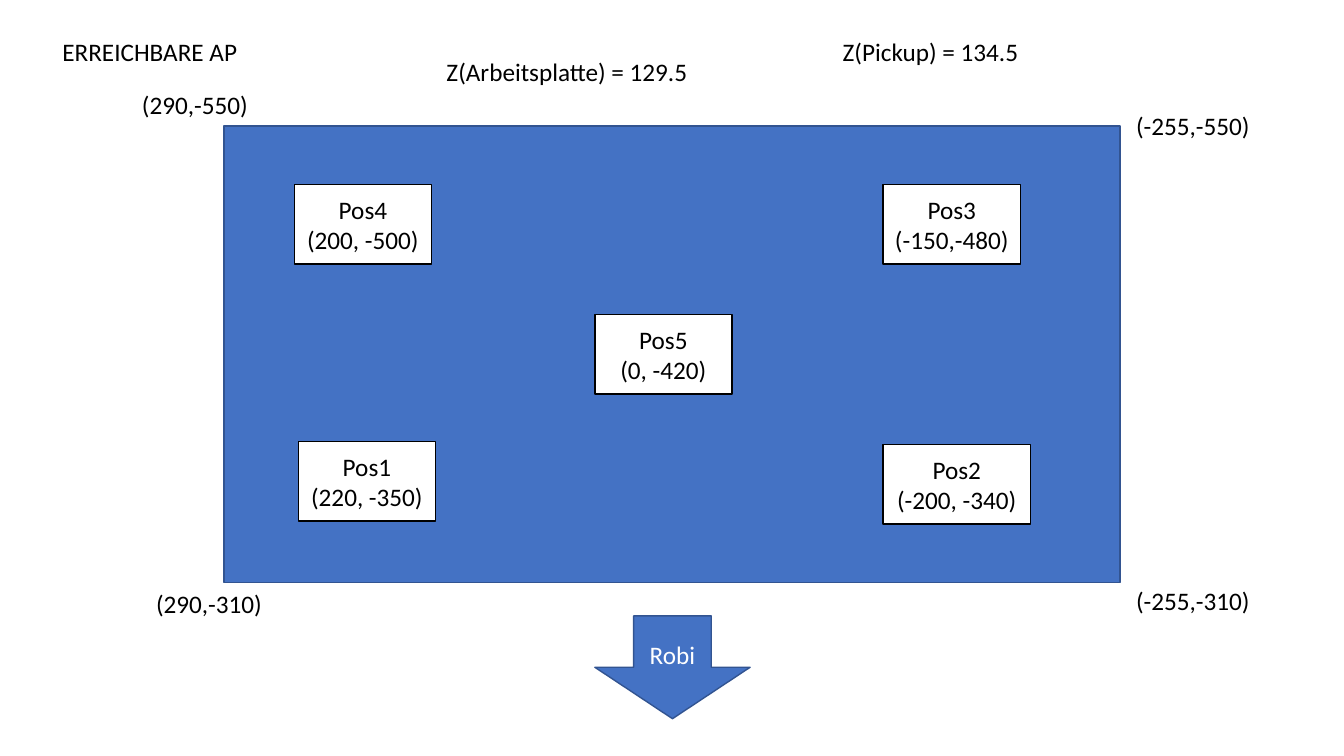
from pptx import Presentation
from pptx.dml.color import RGBColor
from pptx.enum.shapes import MSO_SHAPE
from pptx.enum.text import MSO_ANCHOR, MSO_AUTO_SIZE, PP_ALIGN
from pptx.util import Inches, Pt

COLORS = {"blue": "4472C4", "edge": "325491", "white": "FFFFFF", "black": "000000"}


def color(name):
    return RGBColor.from_string(COLORS[name])


def write(frame, text, *, font="Calibri", size=18, ink="black", align=PP_ALIGN.LEFT):
    for index, line in enumerate(text.split("\n")):
        paragraph = frame.add_paragraph() if index else frame.paragraphs[0]
        paragraph.alignment = align
        run = paragraph.add_run()
        run.text = line
        run.font.name = font
        run.font.size = Pt(size)
        run.font.color.rgb = color(ink)


class WorkspaceSlide:
    def __init__(self, slide):
        self.slide = slide

    def shape(self, kind, left, top, width, height, text="", fill="blue", edge="edge", ink="white"):
        block = self.slide.shapes.add_shape(
            kind, Inches(left), Inches(top), Inches(width), Inches(height))
        block.shadow.inherit = False
        block.fill.solid()
        block.fill.fore_color.rgb = color(fill)
        block.line.color.rgb = color(edge)
        block.line.width = Pt(1)
        if text:
            block.text_frame.vertical_anchor = MSO_ANCHOR.MIDDLE
            write(block.text_frame, text, ink=ink, align=PP_ALIGN.CENTER)

    def position(self, name, point, left, top, width=1.36):
        self.shape(MSO_SHAPE.RECTANGLE, left, top, width, 0.79, f"{name}\n{point}",
                   fill="white", edge="black", ink="black")

    def label(self, text, left, top, width, wrap=False):
        box = self.slide.shapes.add_textbox(
            Inches(left), Inches(top), Inches(width), Inches(0.4))
        box.text_frame.word_wrap = wrap
        box.text_frame.auto_size = MSO_AUTO_SIZE.SHAPE_TO_FIT_TEXT
        write(box.text_frame, text)


def main():
    deck = Presentation()
    deck.slide_width, deck.slide_height = Inches(13.33), Inches(7.5)
    workspace = WorkspaceSlide(deck.slides.add_slide(deck.slide_layouts[6]))

    workspace.shape(MSO_SHAPE.RECTANGLE, 2.22, 1.25, 8.89, 4.53)
    workspace.shape(MSO_SHAPE.DOWN_ARROW, 5.9, 6.11, 1.54, 1.02, "Robi")

    for corner in (
        ("(290,-550)", 1.31, 0.84, 1.26),
        ("(-255,-550)", 11.17, 1.05, 1.34),
        ("(290,-310)", 1.45, 5.79, 1.26),
        ("(-255,-310)", 11.17, 5.76, 1.34),
    ):
        workspace.label(*corner)

    workspace.label("Z(Arbeitsplatte) = 129.5", 4.33, 0.51, 2.62)
    workspace.label("Z(Pickup) = 134.5", 8.26, 0.31, 1.96)

    for target in (
        ("Pos4", "(200, -500)", 2.92, 1.83),
        ("Pos3", "(-150,-480)", 8.76, 1.83),
        ("Pos1", "(220, -350)", 2.96, 4.38),
        ("Pos2", "(-200, -340)", 8.76, 4.41, 1.46),
        ("Pos5", "(0, -420)", 5.9, 3.12),
    ):
        workspace.position(*target)

    workspace.label("ERREICHBARE AP", 0.52, 0.31, 2.09, wrap=True)
    deck.save("out.pptx")


if __name__ == "__main__":
    main()
